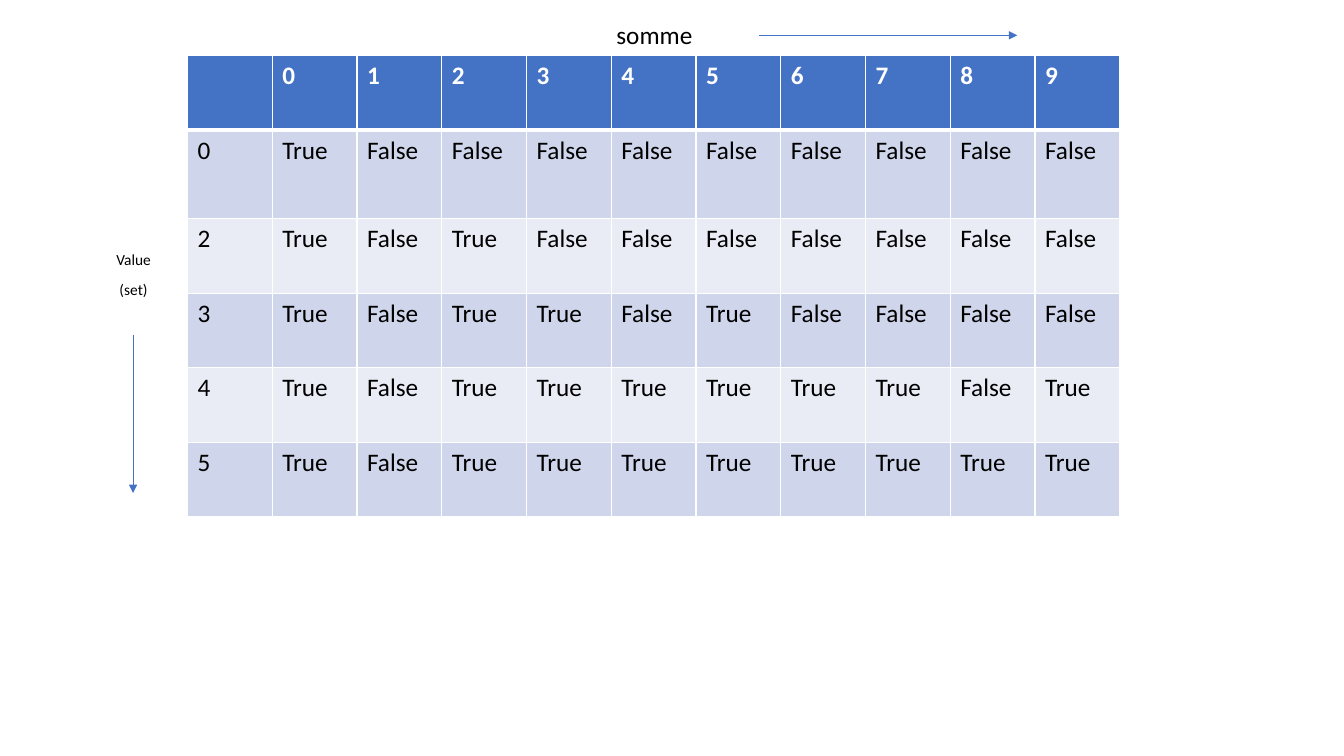
from dataclasses import dataclass

from lxml import etree
from pptx import Presentation
from pptx.dml.color import RGBColor
from pptx.enum.shapes import MSO_CONNECTOR
from pptx.enum.text import MSO_ANCHOR, MSO_AUTO_SIZE, PP_ALIGN
from pptx.oxml.ns import qn
from pptx.util import Inches, Pt

STRAIGHT = MSO_CONNECTOR.STRAIGHT
BOTTOM = MSO_ANCHOR.BOTTOM
TOP = MSO_ANCHOR.TOP
NO_FIT = MSO_AUTO_SIZE.NONE
CENTER = PP_ALIGN.CENTER

FONT = "Calibri"
BLUE, WHITE, BLACK = "4472C4", "FFFFFF", "000000"
BANDS = ("CFD5EA", "E9EBF5")

SUMS = range(10)
VALUES = (0, 2, 3, 4, 5)
TABLE_LEFT, TABLE_TOP, TABLE_WIDTH = 1.86, 0.55, 9.25
ROW_HEIGHTS = (0.74, 0.88, 0.74, 0.74, 0.74, 0.74)


@dataclass
class Arrow:
    x1: float
    y1: float
    x2: float
    y2: float


@dataclass
class Label:
    lines: tuple[str, ...]
    left: float
    top: float
    width: float
    height: float
    size: int
    space_before: int
    anchor: MSO_ANCHOR


SUM_LABEL = Label(("somme",), 1.49, 0.14, 10, 0.41, 18, 0, BOTTOM)
VALUE_LABEL = Label(("Value", "(set)"), 0.97, 2.45, 0.71, 0.66, 11, 10, TOP)
ARROWS = (Arrow(7.53, 0.35, 10.09, 0.35), Arrow(1.32, 3.32, 1.32, 4.89))


def rgb(color: str) -> RGBColor:
    return RGBColor.from_string(color)


def add_text(paragraph, text: str, size: int, color: str, bold: bool = False) -> None:
    run = paragraph.add_run()
    run.text = text
    run.font.name = FONT
    run.font.size = Pt(size)
    run.font.bold = bold
    run.font.color.rgb = rgb(color)


def fill_label(shape, label: Label) -> None:
    shape.left, shape.top = Inches(label.left), Inches(label.top)
    shape.width, shape.height = Inches(label.width), Inches(label.height)
    frame = shape.text_frame
    frame.word_wrap = True
    frame.auto_size = NO_FIT
    frame.vertical_anchor = label.anchor
    for index, line in enumerate(label.lines):
        paragraph = frame.add_paragraph() if index else frame.paragraphs[0]
        paragraph.alignment = CENTER
        paragraph.line_spacing = 0.9
        paragraph.space_before = Pt(label.space_before)
        add_text(paragraph, line, label.size, BLACK)


def add_arrow(slide, arrow: Arrow) -> None:
    connector = slide.shapes.add_connector(
        STRAIGHT, Inches(arrow.x1), Inches(arrow.y1), Inches(arrow.x2), Inches(arrow.y2)
    )
    connector.line.color.rgb = rgb(BLUE)
    connector.line.width = Pt(0.5)
    etree.SubElement(connector.line._get_or_add_ln(), qn("a:tailEnd"), type="triangle")
    etree.SubElement(connector._element.spPr, qn("a:effectLst"))


def add_borders(cell, top: int, bottom: int) -> None:
    properties = cell._tc.get_or_add_tcPr()
    for side, width in (("L", 1), ("R", 1), ("T", top), ("B", bottom)):
        border = etree.SubElement(properties, qn(f"a:ln{side}"), w=str(Pt(width)))
        solid = etree.SubElement(border, qn("a:solidFill"))
        etree.SubElement(solid, qn("a:srgbClr"), val=WHITE)


def subset_sum_rows() -> list[list[str]]:
    rows = [["", *map(str, SUMS)]]
    reachable = {0}
    for value in VALUES:
        reachable |= {total + value for total in reachable}
        rows.append([str(value), *(str(total in reachable) for total in SUMS)])
    return rows


def add_sum_table(slide) -> None:
    rows = subset_sum_rows()
    columns = len(rows[0])
    table = slide.shapes.add_table(
        len(rows), columns, Inches(TABLE_LEFT), Inches(TABLE_TOP),
        Inches(TABLE_WIDTH), Inches(sum(ROW_HEIGHTS)),
    ).table
    for column in table.columns:
        column.width = Inches(TABLE_WIDTH / columns)
    for r, texts in enumerate(rows):
        table.rows[r].height = Inches(ROW_HEIGHTS[r])
        header = r == 0
        for c, text in enumerate(texts):
            cell = table.cell(r, c)
            add_borders(cell, 3 if r == 1 else 1, 3 if header else 1)
            cell.fill.solid()
            cell.fill.fore_color.rgb = rgb(BLUE if header else BANDS[(r - 1) % 2])
            if text:
                add_text(cell.text_frame.paragraphs[0], text, 18,
                         WHITE if header else BLACK, header)


presentation = Presentation()
presentation.slide_width = Inches(13.33)
presentation.slide_height = Inches(7.5)
slide = presentation.slides.add_slide(presentation.slide_layouts[5])

fill_label(slide.shapes.title, SUM_LABEL)
fill_label(slide.shapes.add_textbox(0, 0, 0, 0), VALUE_LABEL)
add_sum_table(slide)
for arrow in ARROWS:
    add_arrow(slide, arrow)

presentation.save("out.pptx")
